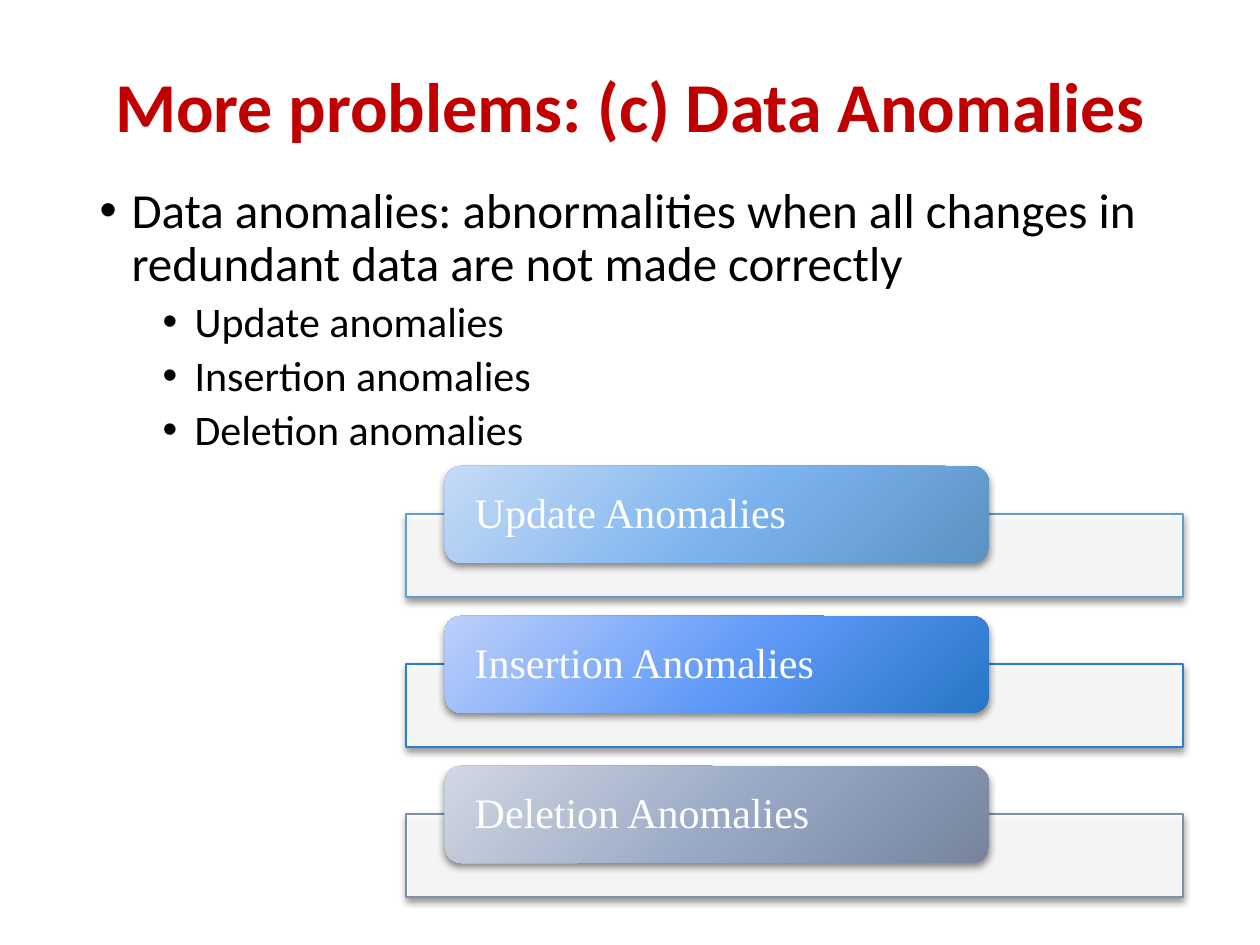
from lxml.etree import SubElement
from pptx import Presentation
from pptx.dml.color import RGBColor
from pptx.enum.shapes import MSO_SHAPE
from pptx.enum.text import MSO_ANCHOR, PP_ALIGN
from pptx.oxml import parse_xml
from pptx.oxml.ns import nsdecls, qn
from pptx.util import Pt

RED = RGBColor(0xC0, 0x00, 0x00)
BLACK = RGBColor(0x00, 0x00, 0x00)
WHITE = RGBColor(0xFF, 0xFF, 0xFF)
SKY = RGBColor(0x62, 0x9D, 0xD1)
SKY_BLEND = (RGBColor(0xC5, 0xDB, 0xF6), RGBColor(0x7A, 0xB2, 0xEE), RGBColor(0x5B, 0x92, 0xC3))
BLUE = RGBColor(0x29, 0x7F, 0xD5)
BLUE_BLEND = (RGBColor(0xBD, 0xD0, 0xFA), RGBColor(0x5E, 0x98, 0xF8), RGBColor(0x26, 0x76, 0xC6))
SLATE = RGBColor(0x7F, 0x8F, 0xA9)
SLATE_BLEND = (RGBColor(0xD1, 0xD7, 0xE3), RGBColor(0x97, 0xA7, 0xC3), RGBColor(0x76, 0x85, 0x9D))

TITLE = "More problems: (c) Data Anomalies"
BULLETS = [
    (0, "Data anomalies: abnormalities when all changes in redundant data are not made correctly"),
    (1, "Update anomalies"),
    (1, "Insertion anomalies"),
    (1, "Deletion anomalies"),
]
ANOMALIES = [
    ("Update Anomalies", SKY, SKY_BLEND),
    ("Insertion Anomalies", BLUE, BLUE_BLEND),
    ("Deletion Anomalies", SLATE, SLATE_BLEND),
]

TITLE_BOX = (87, 50, 1086, 120)
BODY_BOX = (87, 180, 1086, 600)
PANEL_BOX = (406, 514, 777, 83)
TAB_BOX = (445, 466, 544, 97)
PITCH = 150
TAB_INSET = 25
STOPS = (0, 55, 100)

TITLE_FONT = {"name": "Calibri", "size": Pt(40), "bold": True}
BODY_FONTS = [{"name": "Calibri", "size": Pt(28)}, {"name": "Calibri", "size": Pt(24)}]
TAB_FONT = {"name": "Times New Roman", "size": Pt(24)}
BODY_SPACING = [Pt(10), Pt(5)]
BODY_MARGINS = [32, 95]


def px(length):
    return round(length * 914400 / 126)


def place(shape, box):
    shape.left, shape.top, shape.width, shape.height = map(px, box)


def write(paragraph, text, font, color, **layout):
    run = paragraph.add_run()
    run.text = text
    for key, value in font.items():
        setattr(run.font, key, value)
    run.font.color.rgb = color
    for key, value in {"line_spacing": 0.9, **layout}.items():
        setattr(paragraph, key, value)


def add_bullet(paragraph, margin):
    properties = paragraph._p.get_or_add_pPr()
    properties.set("marL", str(px(margin)))
    properties.set("indent", str(-px(BODY_MARGINS[0])))
    SubElement(properties, qn("a:buFont"), typeface="Arial")
    SubElement(properties, qn("a:buChar"), char="•")


def add_shadowed(slide, kind, box):
    shape = slide.shapes.add_shape(kind, *map(px, box))
    shape.shadow.inherit = False
    effects = shape._element.spPr.find(qn("a:effectLst"))
    shadow = SubElement(effects, qn("a:outerShdw"), blurRad=str(Pt(4)), dist=str(Pt(2)),
                        dir="5400000", rotWithShape="0")
    tint = SubElement(shadow, qn("a:srgbClr"), val=str(BLACK))
    SubElement(tint, qn("a:alpha"), val="45000")
    return shape


def add_panel(slide, box, outline):
    panel = add_shadowed(slide, MSO_SHAPE.RECTANGLE, box)
    panel.fill.solid()
    panel.fill.fore_color.rgb = WHITE
    tint = panel._element.spPr.find(qn("a:solidFill")).find(qn("a:srgbClr"))
    SubElement(tint, qn("a:alpha"), val="90000")
    panel.line.color.rgb = outline
    panel.line.width = Pt(0.75)


def add_tab(slide, box, label, blend):
    tab = add_shadowed(slide, MSO_SHAPE.ROUNDED_RECTANGLE, box)
    tab.line.fill.background()
    stops = "".join(f'<a:gs pos="{stop * 1000}"><a:srgbClr val="{color}"/></a:gs>'
                    for stop, color in zip(STOPS, blend))
    gradient = parse_xml(
        f'<a:gradFill {nsdecls("a")} rotWithShape="1"><a:gsLst>{stops}</a:gsLst>'
        '<a:path path="circle"><a:fillToRect l="-40000" t="-90000" r="140000" b="190000"/>'
        '</a:path></a:gradFill>')
    tab._element.spPr.find(qn("a:prstGeom")).addnext(gradient)
    frame = tab.text_frame
    for key, value in {"word_wrap": True, "vertical_anchor": MSO_ANCHOR.MIDDLE,
                       "margin_left": px(TAB_INSET), "margin_right": px(TAB_INSET),
                       "margin_top": 0, "margin_bottom": 0}.items():
        setattr(frame, key, value)
    write(frame.paragraphs[0], label, TAB_FONT, WHITE, alignment=PP_ALIGN.LEFT)


def main():
    deck = Presentation()
    deck.slide_width, deck.slide_height = px(1260), px(945)
    slide = deck.slides.add_slide(deck.slide_layouts[1])

    title = slide.shapes.title
    place(title, TITLE_BOX)
    title.text_frame.vertical_anchor = MSO_ANCHOR.MIDDLE
    write(title.text_frame.paragraphs[0], TITLE, TITLE_FONT, RED, alignment=PP_ALIGN.CENTER)

    body = slide.placeholders[1]
    place(body, BODY_BOX)
    for index, (level, text) in enumerate(BULLETS):
        frame = body.text_frame
        paragraph = frame.add_paragraph() if index else frame.paragraphs[0]
        write(paragraph, text, BODY_FONTS[level], BLACK,
              level=level, space_before=BODY_SPACING[level])
        add_bullet(paragraph, BODY_MARGINS[level])

    for row, (label, outline, blend) in enumerate(ANOMALIES):
        panel_box, tab_box = ((left, top + row * PITCH, width, height)
                              for left, top, width, height in (PANEL_BOX, TAB_BOX))
        add_panel(slide, panel_box, outline)
        add_tab(slide, tab_box, label, blend)

    deck.save("out.pptx")


if __name__ == "__main__":
    main()
